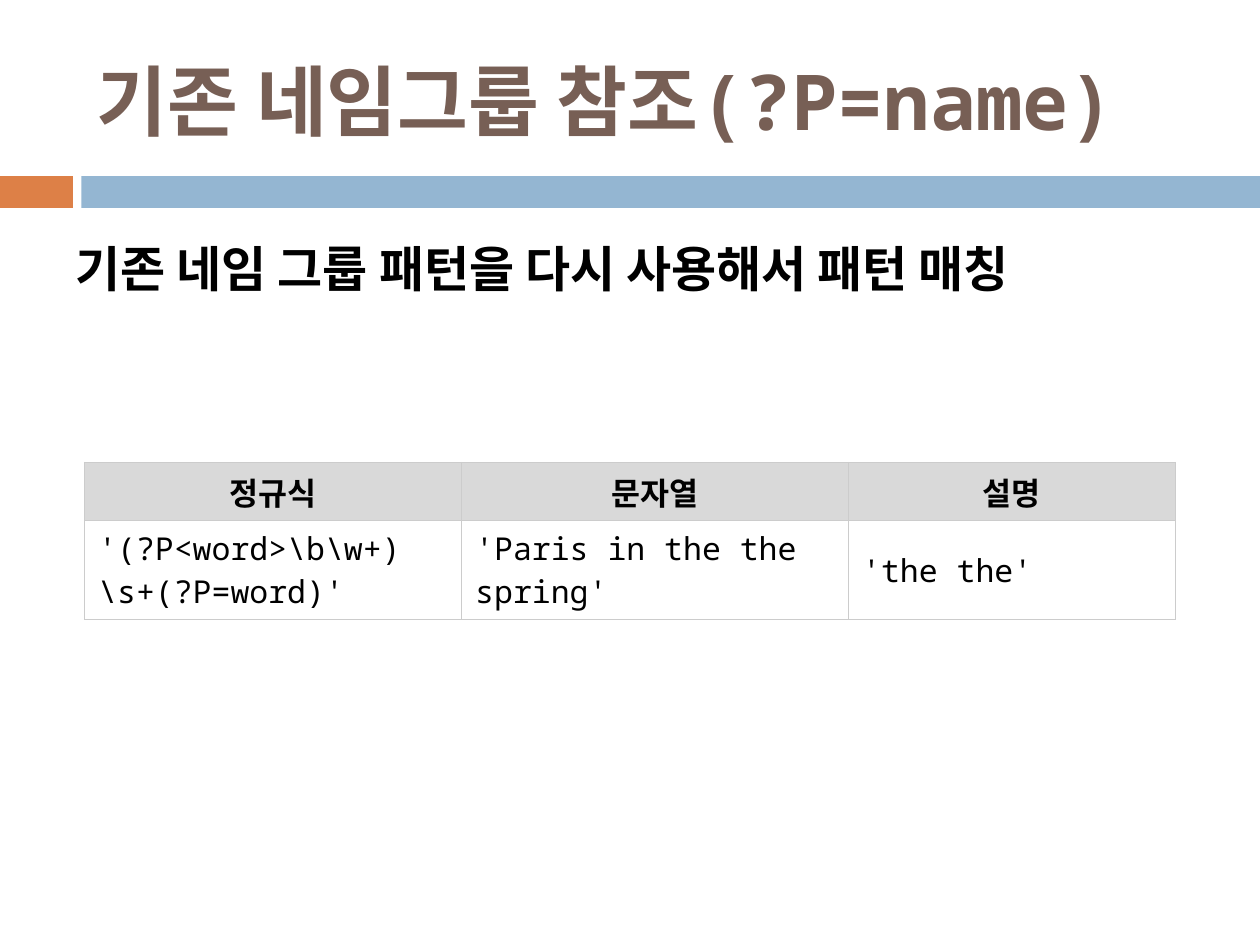
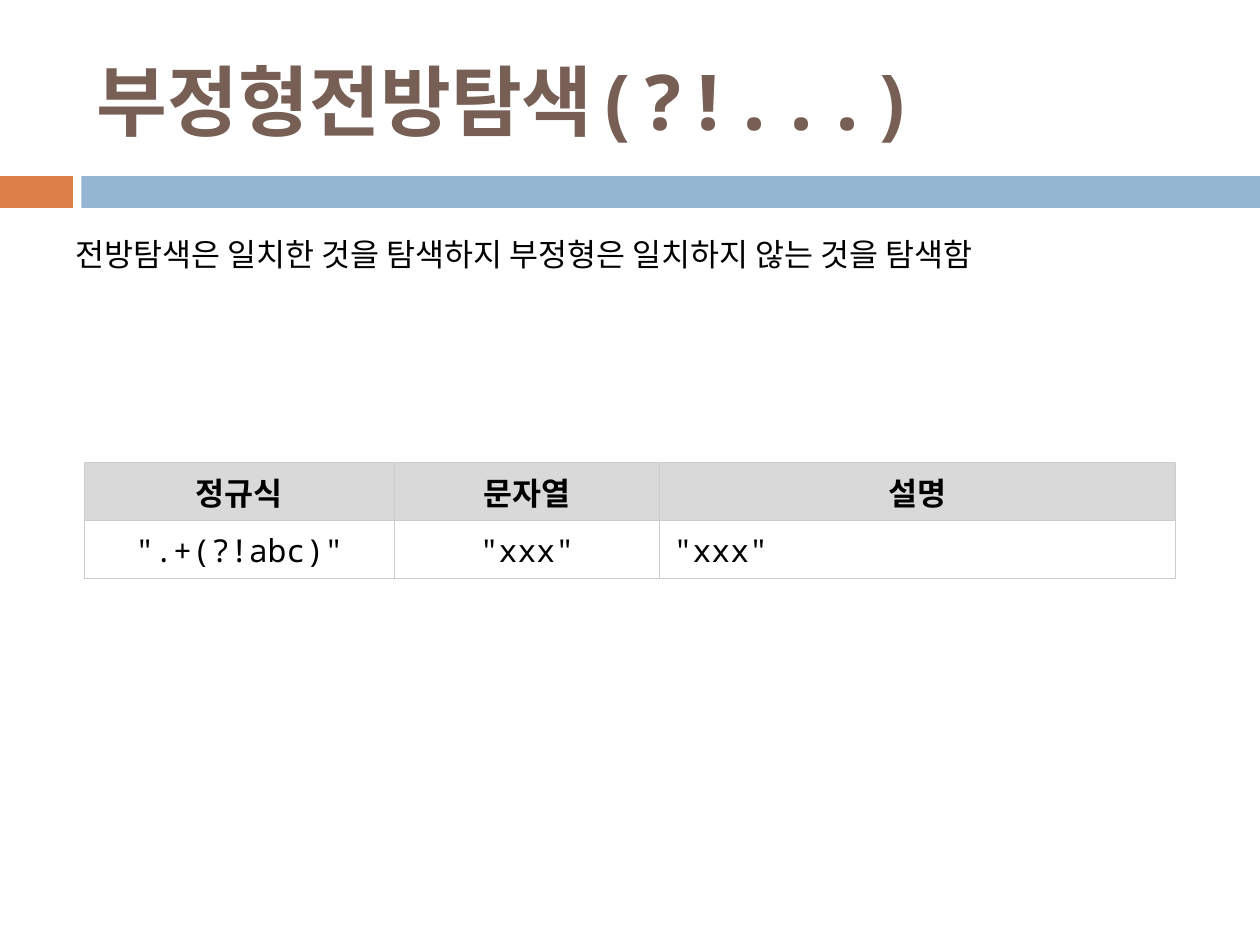
from pptx import Presentation
from pptx.dml.color import RGBColor
from pptx.enum.shapes import MSO_SHAPE as Shape
from pptx.enum.text import MSO_ANCHOR as Anchor, MSO_AUTO_SIZE as Fit, PP_ALIGN as Align
from pptx.oxml import parse_xml
from pptx.oxml.ns import nsdecls
from pptx.util import Cm, Pt

BROWN = RGBColor(0x77, 0x5F, 0x55)
ORANGE = RGBColor(0xDD, 0x80, 0x47)
BLUE = RGBColor(0x94, 0xB6, 0xD2)
GRAY = RGBColor(0xD9, 0xD9, 0xD9)
WHITE = RGBColor(0xFF, 0xFF, 0xFF)
BLACK = RGBColor(0, 0, 0)
RULE = "CCCCCC"
FACE = "Noto Sans Mono"

TITLE = {"size": Pt(44), "bold": True}
HEAD = {"size": Pt(18), "bold": True}
PLAIN = {"size": Pt(18), "bold": False}
LEAD = {"size": Pt(28), "bold": True}
INSET = {"margin_left": Cm(0.28), "margin_right": Cm(0.28),
         "margin_top": Cm(0.13), "margin_bottom": Cm(0.13),
         "vertical_anchor": Anchor.MIDDLE}
BANDS = [(0, 1.47, ORANGE), (1.64, 23.76, BLUE)]
LABELS = ["정규식", "문자열", "설명"]
LEFT, MID = Align.LEFT, Align.CENTER

PAGES = [
    {"title": "기존 네임그룹 참조(?P=name)",
     "text": "기존 네임 그룹 패턴을 다시 사용해서 패턴 매칭",
     "style": LEAD, "height": 3.48, "cols": [7.6, 7.8, 6.59],
     "row": [r"'(?P<word>\b\w+)\s+(?P=word)'", "'Paris in the the spring'", "'the the'"],
     "align": [LEFT, LEFT, LEFT]},
    {"title": "부정형전방탐색(?!...)",
     "text": "전방탐색은 일치한 것을 탐색하지 부정형은 일치하지 않는 것을 탐색함",
     "style": PLAIN, "height": 1.68, "cols": [6.25, 5.35, 10.39],
     "row": ['".+(?!abc)"', '"xxx"', '"xxx"'],
     "align": [MID, MID, LEFT]},
]


def write(frame, text, style, color, align):
    """Fill a text frame with one styled paragraph and return it."""
    para = frame.paragraphs[0]
    para.alignment = align
    run = para.add_run()
    run.text = text
    for key, value in style.items():
        setattr(run.font, key, value)
    run.font.color.rgb = color
    run.font.name = FACE
    return para


def place(box, left, top, width, height):
    box.left, box.top, box.width, box.height = map(Cm, (left, top, width, height))
    box.text_frame.word_wrap = True
    box.text_frame.auto_size = Fit.NONE


deck = Presentation()
deck.slide_width, deck.slide_height = Cm(25.4), Cm(19.05)

for page in PAGES:
    slide = deck.slides.add_slide(deck.slide_layouts[1])
    title, body = slide.placeholders

    for left, width, color in BANDS:
        band = slide.shapes.add_shape(
            Shape.RECTANGLE, Cm(left), Cm(3.55), Cm(width), Cm(0.64))
        band.shadow.inherit = False
        band.fill.solid()
        band.fill.fore_color.rgb = color
        band.line.fill.background()

    place(title, 1.7, 0.64, 22.66, 2.74)
    title.text_frame.vertical_anchor = Anchor.MIDDLE
    write(title.text_frame, page["title"], TITLE, BROWN, LEFT)

    place(body, 1.27, 4.45, 22.86, page["height"])
    para = write(body.text_frame, page["text"], page["style"], BLACK, LEFT)
    para.line_spacing = 1.2
    para.space_before = Pt(0)
    props = para._p.get_or_add_pPr()
    props.set("marL", "0")
    props.set("indent", "0")
    props.append(parse_xml(f'<a:buNone {nsdecls("a")}/>'))

    grid = slide.shapes.add_table(
        2, 3, Cm(1.7), Cm(9.32), Cm(sum(page["cols"])), Cm(2.34)).table
    for col, width in zip(grid.columns, page["cols"]):
        col.width = Cm(width)
    rows = [(LABELS, HEAD, GRAY, [MID] * 3),
            (page["row"], PLAIN, WHITE, page["align"])]
    for r, (texts, style, fill, aligns) in enumerate(rows):
        grid.rows[r].height = Cm(1.17)
        for c, (text, align) in enumerate(zip(texts, aligns)):
            cell = grid.cell(r, c)
            for key, value in INSET.items():
                setattr(cell, key, value)
            cell.fill.solid()
            cell.fill.fore_color.rgb = fill
            write(cell.text_frame, text, style, BLACK, align)
            for n, side in enumerate("LRTB"):
                cell._tc.get_or_add_tcPr().insert(n, parse_xml(
                    f'<a:ln{side} {nsdecls("a")} w="{Pt(0.6)}"><a:solidFill>'
                    f'<a:srgbClr val="{RULE}"/></a:solidFill></a:ln{side}>'))

deck.save("out.pptx")
